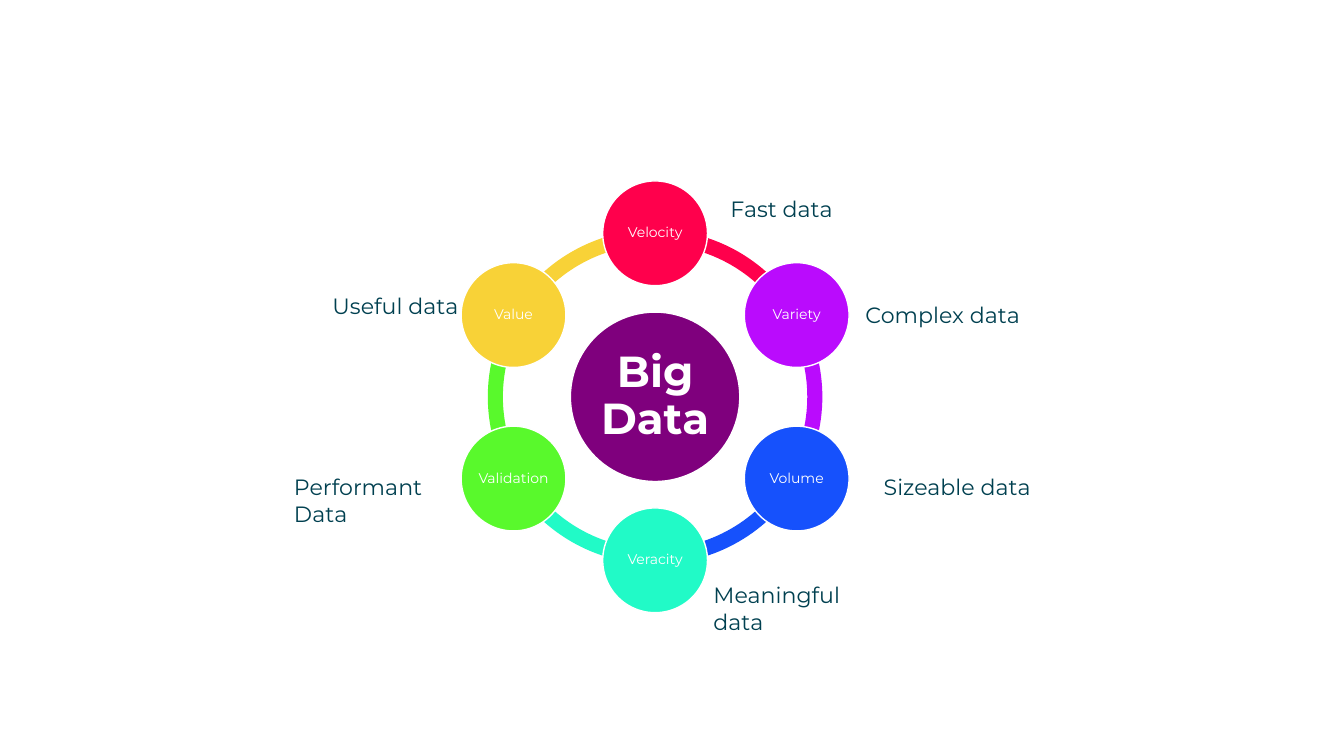
"""Build a slide showing the six Vs of Big Data as a ring of circles."""
from math import cos, radians, sin

from pptx import Presentation
from pptx.dml.color import RGBColor
from pptx.enum.shapes import MSO_SHAPE
from pptx.enum.text import MSO_ANCHOR, MSO_AUTO_SIZE, PP_ALIGN
from pptx.util import Cm, Pt

CIRCLE, ARC = MSO_SHAPE.OVAL, MSO_SHAPE.BLOCK_ARC
CENTER, LEFT = PP_ALIGN.CENTER, PP_ALIGN.LEFT
MIDDLE, TOP = MSO_ANCHOR.MIDDLE, MSO_ANCHOR.TOP
GROW = MSO_AUTO_SIZE.SHAPE_TO_FIT_TEXT

WHITE = RGBColor(0xFF, 0xFF, 0xFF)
PURPLE = RGBColor(0x7F, 0x00, 0x7D)
TEAL = RGBColor(0x00, 0x40, 0x50)
RED = RGBColor(0xFF, 0x00, 0x4C)
VIOLET = RGBColor(0xBA, 0x0B, 0xFD)
BLUE = RGBColor(0x16, 0x51, 0xFC)
AQUA = RGBColor(0x21, 0xFA, 0xC7)
GREEN = RGBColor(0x59, 0xF9, 0x2C)
YELLOW = RGBColor(0xF8, 0xD2, 0x37)
FONT = "Montserrat"

HUB = "Big Data"
# name, colour, meaning, then left, top and width of the meaning in cm
VS = [
    ("Velocity", RED, "Fast data", 18.16, 4.8, 10.64),
    ("Variety", VIOLET, "Complex data", 21.56, 7.47, 4.98),
    ("Volume", BLUE, "Sizeable data", 22.02, 11.81, 5.59),
    ("Veracity", AQUA, "Meaningful data", 17.73, 14.53, 4.98),
    ("Validation", GREEN, "Performant Data", 7.16, 11.81, 4.98),
    ("Value", YELLOW, "Useful data", 8.13, 7.24, 4.98),
]

CENTER_X, CENTER_Y = 16.51, 10
RING, HUB_SIZE, V_SIZE = 8.43, 4.27, 2.64
ORBIT = 4.12
ARC_THICKNESS = 0.045
ARC_UNITS_PER_DEGREE = 0.6
MEANING_HEIGHT = 0.91


def write(shape, text, *, size, color, bold=False, align=CENTER, anchor=MIDDLE,
          insets=(0.03, 0.03), line_spacing=0.9, space_after=0.35):
    frame = shape.text_frame
    frame.word_wrap = True
    frame.vertical_anchor = anchor
    frame.margin_left = frame.margin_right = Cm(insets[0])
    frame.margin_top = frame.margin_bottom = Cm(insets[1])
    paragraph = frame.paragraphs[0]
    paragraph.alignment = align
    paragraph.line_spacing = line_spacing
    paragraph.space_after = Pt(size * space_after)
    run = paragraph.add_run()
    run.text = text
    run.font.name = FONT
    run.font.size = Pt(size)
    run.font.bold = bold
    run.font.color.rgb = color


def add_round(slide, kind, x, y, size, color, outlined=True):
    shape = slide.shapes.add_shape(
        kind, Cm(x - size / 2), Cm(y - size / 2), Cm(size), Cm(size))
    shape.shadow.inherit = False
    shape.fill.solid()
    shape.fill.fore_color.rgb = color
    if outlined:
        shape.line.color.rgb = WHITE
        shape.line.width = Pt(1)
    else:
        shape.line.fill.background()
    return shape


def main():
    deck = Presentation()
    deck.slide_width, deck.slide_height = Cm(33.87), Cm(19.05)
    slide = deck.slides.add_slide(deck.slide_layouts[6])
    step = 360 / len(VS)
    angles = [(270 + step * place) % 360 for place in range(len(VS))]

    for angle, (_, color, *_) in zip(angles, VS):
        arc = add_round(slide, ARC, CENTER_X, CENTER_Y, RING, color, outlined=False)
        arc.adjustments[0] = angle * ARC_UNITS_PER_DEGREE
        arc.adjustments[1] = (angle + step) % 360 * ARC_UNITS_PER_DEGREE
        arc.adjustments[2] = ARC_THICKNESS

    hub = add_round(slide, CIRCLE, CENTER_X, CENTER_Y, HUB_SIZE, PURPLE)
    write(hub, HUB, size=31, color=WHITE, bold=True, insets=(0.1, 0.1))

    for angle, (name, color, meaning, left, top, width) in zip(angles, VS):
        x = CENTER_X + ORBIT * cos(radians(angle))
        y = CENTER_Y + ORBIT * sin(radians(angle))
        circle = add_round(slide, CIRCLE, x, y, V_SIZE, color)
        write(circle, name, size=10, color=WHITE)
        label = slide.shapes.add_textbox(
            Cm(left), Cm(top), Cm(width), Cm(MEANING_HEIGHT))
        write(label, meaning, size=15.8, color=TEAL, align=LEFT, anchor=TOP,
              insets=(0.25, 0.13), line_spacing=1.0, space_after=0)
        label.text_frame.auto_size = GROW

    deck.save("out.pptx")


if __name__ == "__main__":
    main()
